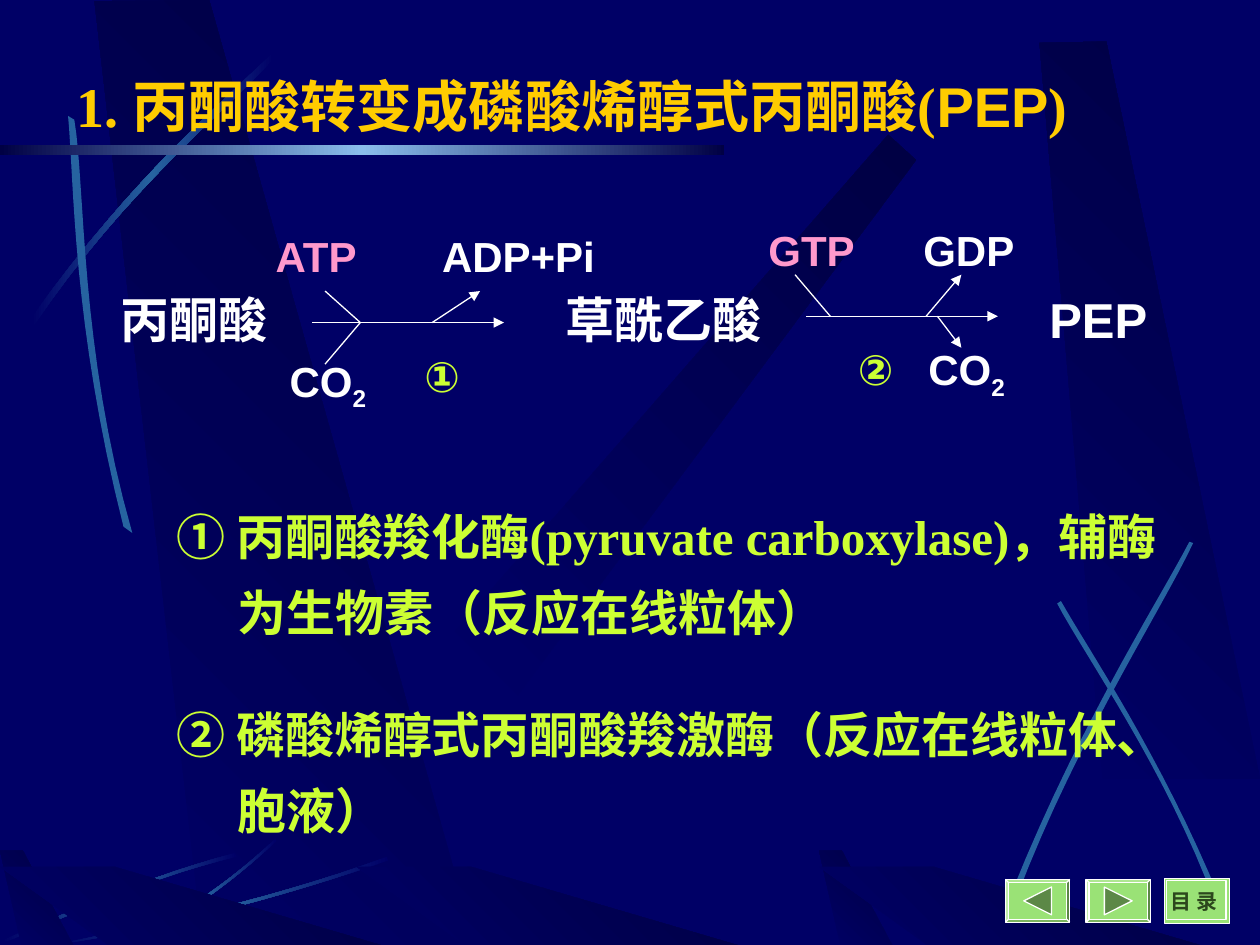
"""Build the slide on how pyruvate turns into PEP."""
from copy import deepcopy
from lxml import etree
from pptx import Presentation, util as u
from pptx.dml.color import RGBColor
from pptx.enum import shapes, text
from pptx.oxml.ns import qn

NAVY = RGBColor(0x00, 0x00, 0x66)
DEEP = RGBColor(0x00, 0x00, 0x44)
STEEL = RGBColor(0x26, 0x63, 0xA0)
SKY = RGBColor(0x8A, 0xBD, 0xEC)
LEAF = RGBColor(0x9A, 0xE2, 0x76)
MOSS = RGBColor(0x5C, 0x88, 0x47)
PINE = RGBColor(0x2C, 0x47, 0x1D)
GOLD = RGBColor(0xFF, 0xCC, 0x00)
PINK = RGBColor(0xFF, 0x99, 0xCC)
LIME = RGBColor(0xCC, 0xFF, 0x33)
WHITE = RGBColor(0xFF, 0xFF, 0xFF)
SANS, SERIF = "Arial", "Times New Roman"
COLS, ROWS = 100, 75
KIND = shapes.MSO_SHAPE


class Deck:
    """Holds the style, the current slide and a grid of 100 by 75 cells."""

    def __init__(self):
        self.prs = Presentation()
        self.prs.slide_width, self.prs.slide_height = u.Inches(10), u.Inches(7.5)
        self.slide = self.prs.slides.add_slide(self.prs.slide_layouts[5])
        self.pen = self.slide.shapes
        fill = self.slide.background.fill
        fill.solid()
        fill.fore_color.rgb = NAVY

    def spot(self, col, row):
        return (round(col * self.prs.slide_width / COLS),
                round(row * self.prs.slide_height / ROWS))

    def box(self, col, row, wide, high):
        return *self.spot(col, row), *self.spot(wide, high)

    def group(self):
        self.pen = self.slide.shapes.add_group_shape().shapes

    def paint(self, shape, hues, angle=0, edge=None):
        shape.shadow.inherit = False
        if len(hues) == 1:
            shape.fill.solid()
            shape.fill.fore_color.rgb = hues[0]
        else:
            shape.fill.gradient()
            stops = shape._element.spPr.find(".//" + qn("a:gsLst"))
            while len(stops) < len(hues):
                stops.append(deepcopy(stops[-1]))
            for i, (stop, hue) in enumerate(zip(shape.fill.gradient_stops, hues)):
                stop.color.rgb = hue
                stop.position = i / (len(hues) - 1)
            shape.fill.gradient_angle = angle
        if edge is None:
            shape.line.fill.background()
        else:
            shape.line.color.rgb = edge
            shape.line.width = u.Pt(0.75)

    def patch(self, dots, hues, angle=0):
        first, *rest = [self.spot(*dot) for dot in dots]
        pen = self.pen.build_freeform(*first, scale=1)
        pen.add_line_segments(rest, close=True)
        self.paint(pen.convert_to_shape(), hues, angle)

    def arc(self, there, back, hues):
        self.patch(curve(*there) + curve(*back), hues)

    def shape(self, kind, place, hues, edge=None):
        item = self.pen.add_shape(kind, *self.box(*place))
        self.paint(item, hues, edge=edge)
        return item

    def line(self, start, end, head=False):
        wire = self.pen.add_connector(shapes.MSO_CONNECTOR.STRAIGHT,
                                      *self.spot(*start), *self.spot(*end))
        wire.line.color.rgb = WHITE
        wire.line.width = u.Pt(0.75)
        props = wire._element.spPr
        if head:
            etree.SubElement(props.find(qn("a:ln")), qn("a:tailEnd"), type="triangle")
        etree.SubElement(props, qn("a:effectLst"))

    def fit(self, frame, runs, size, hue, hang=0):
        frame.word_wrap = True
        frame.auto_size = text.MSO_AUTO_SIZE.NONE
        frame.vertical_anchor = text.MSO_ANCHOR.TOP
        para = frame.paragraphs[0]
        para.alignment = text.PP_ALIGN.LEFT
        if hang:
            para.line_spacing = 1.3
            props = para._p.get_or_add_pPr()
            props.set("marL", str(self.spot(hang, 0)[0]))
            props.set("indent", str(-self.spot(hang, 0)[0]))
        for words, face, *base in runs:
            run = para.add_run()
            run.text = words
            font = run.font
            font.name, font.size, font.bold = face, u.Pt(size), True
            font.color.rgb = hue
            if base:
                run._r.get_or_add_rPr().set("baseline", str(base[0] * 1000))

    def text(self, place, runs, size=24, hue=WHITE, hang=0):
        item = self.pen.add_textbox(*self.box(*place))
        self.fit(item.text_frame, runs, size, hue, hang)

    def title(self, place, runs, size, hue):
        item = self.slide.shapes.title
        item.left, item.top, item.width, item.height = self.box(*place)
        self.fit(item.text_frame, runs, size, hue)
        self.slide.shapes._spTree.append(item._element)

    def button(self, col, turn):
        bevel = self.shape(KIND.BEVEL, (col, 69.8, 5.1, 3.4), [LEAF], WHITE)
        bevel.adjustments[0] = 0.07
        mark = self.shape(KIND.ISOSCELES_TRIANGLE, (col + 1.45, 70.4, 2.2, 2.2),
                          [MOSS], WHITE)
        mark.rotation = turn


def curve(a, b, c, d, steps=16):
    """Return points along a cubic curve."""
    ts = [i / steps for i in range(steps + 1)]
    return [tuple((1 - t) ** 3 * p + 3 * t * (1 - t) ** 2 * q
                  + 3 * t * t * (1 - t) * r + t ** 3 * s
                  for p, q, r, s in zip(a, b, c, d)) for t in ts]


def scene(deck):
    """Draw the backdrop."""
    glow = [NAVY, STEEL, NAVY]
    for dots in ([(36.1, 50.1), (41.1, 55.2), (72.7, 12.7), (70.5, 10.7)],
                 [(16.1, 75), (37.7, 75), (16.6, 0), (7.5, 0.1)],
                 [(87.5, 61.8), (100, 61.8), (87.8, 3.3), (82.5, 3.4)]):
        deck.patch(dots, [NAVY, DEEP], 45)
    for there, back, hues in (
        ([(2.5, 25.2), (10.8, 13.6), (18.4, 7.5), (21.6, 4.2)],
         [(21.7, 4.7), (18.5, 8.3), (9.9, 15), (2.6, 26)], glow),
        ([(9.8, 41.8), (5.7, 25.6), (5.9, 14.5), (5.4, 9.2)],
         [(5.9, 9.5), (6.8, 15), (6.3, 27.6), (10.5, 42.3)], [STEEL]),
        ([(79.3, 73.4), (84.8, 58.8), (91.8, 48), (94.4, 43)],
         [(94.7, 43.1), (92.3, 48.3), (84.3, 60.5), (79.8, 73.7)], [STEEL]),
        ([(96.8, 71.3), (92.1, 59.9), (86.4, 51.6), (84.2, 47.7)],
         [(83.9, 47.9), (86, 51.9), (92.6, 61.2), (96.4, 71.6)], [STEEL]),
        ([(18.6, 67.7), (9.9, 70.1), (3.3, 73.4), (0.2, 74.6)],
         [(0.3, 74.8), (3.4, 73.7), (10.9, 69.8), (18.8, 68)], glow),
        ([(21.9, 66.8), (16.7, 71.6), (12, 74.2), (10, 75)],
         [(10, 75), (12, 73.8), (17.3, 71), (21.9, 66.5)], glow),
        ([(30.8, 68.3), (19.3, 72.3), (8.8, 74.4), (4.3, 75)],
         [(4.2, 75), (8.6, 74.1), (20.6, 71.8), (30.7, 68)], glow),
    ):
        deck.arc(there, back, hues)
    for col in (0, 65):
        deck.patch([(col + 1.7, 75), (col + 5.8, 75), (col + 1.8, 67.5), (col, 67.5)],
                   [NAVY, DEEP], 45)
    for col in (0, 28.3, 65):
        deck.patch([(col + 8.6, 75), (col + 30.2, 75), (col + 9.1, 68.8), (col, 68.8)],
                   [NAVY, DEEP], 45)
    deck.shape(KIND.RECTANGLE, (0, 11.5, 57.5, 0.8), [DEEP, SKY, DEEP])


def main():
    deck = Deck()
    scene(deck)
    deck.button(86.2, 90)
    deck.button(79.8, 270)
    for place in ((92.4, 69.7, 5.2, 3.6), (92.6, 69.9, 4.7, 3.1)):
        deck.shape(KIND.RECTANGLE, place, [LEAF], WHITE)
    deck.text((91.9, 70, 6.5, 3), [("目 录", SERIF)], 12, PINE)

    deck.title((5.1, 5.2, 88.2, 6.4),
               [("1. 丙酮酸转变成磷酸烯醇式丙酮酸(", SERIF), ("PEP", SANS), (")", SERIF)],
               32, GOLD)
    for col, wide, name in ((8.6, 16.3, "丙酮酸"), (43.9, 19.3, "草酰乙酸"),
                            (82.3, 13, "PEP")):
        deck.text((col, 22.5, wide, 5.7), [(name, SANS)], 28)

    gas = [("CO", SANS), ("2", SANS, -25)]
    for lines, labels in (
        ([((24.8, 25.6), (40, 25.6), True), ((25.8, 23.1), (28.6, 25.6)),
          ((34.3, 25.6), (38.1, 23.1), True), ((25.8, 28.9), (28.6, 25.6))],
         [((20.9, 17.8, 11.4, 5), [("ATP", SANS)], PINK),
          ((34.1, 17.8, 16.9, 5), [("ADP+Pi", SANS)], WHITE),
          ((22, 27.7, 9.7, 5.6), gas, WHITE),
          ((32.7, 27.3, 6.6, 5), [("①", SANS)], LIME)]),
        ([((64, 25.1), (79.2, 25.1), True), ((63.1, 21.8), (65.9, 25.1)),
          ((73.5, 25.1), (76.3, 21.8), True), ((74.4, 25.1), (76.3, 27.6), True)],
         [((60, 17.3, 12.5, 5), [("GTP", SANS)], PINK),
          ((72.3, 17.3, 10, 5), [("GDP", SANS)], WHITE),
          ((72.7, 26.8, 9.7, 5.6), gas, WHITE),
          ((67.1, 26.8, 6.6, 5), [("②", SANS)], LIME)]),
    ):
        deck.group()
        for line in lines:
            deck.line(*line)
        for place, runs, hue in labels:
            deck.text(place, runs, hue=hue)
    deck.pen = deck.slide.shapes

    for row, wide, note in (
        (38.3, 80.3, "① 丙酮酸羧化酶(pyruvate carboxylase)，辅酶为生物素（反应在线粒体）"),
        (54, 81.9, "② 磷酸烯醇式丙酮酸羧激酶（反应在线粒体、胞液）"),
    ):
        deck.text((13, row, wide, 13.2), [(note, SERIF)], 28, LIME, hang=4.9)
    deck.prs.save("out.pptx")


if __name__ == "__main__":
    main()
